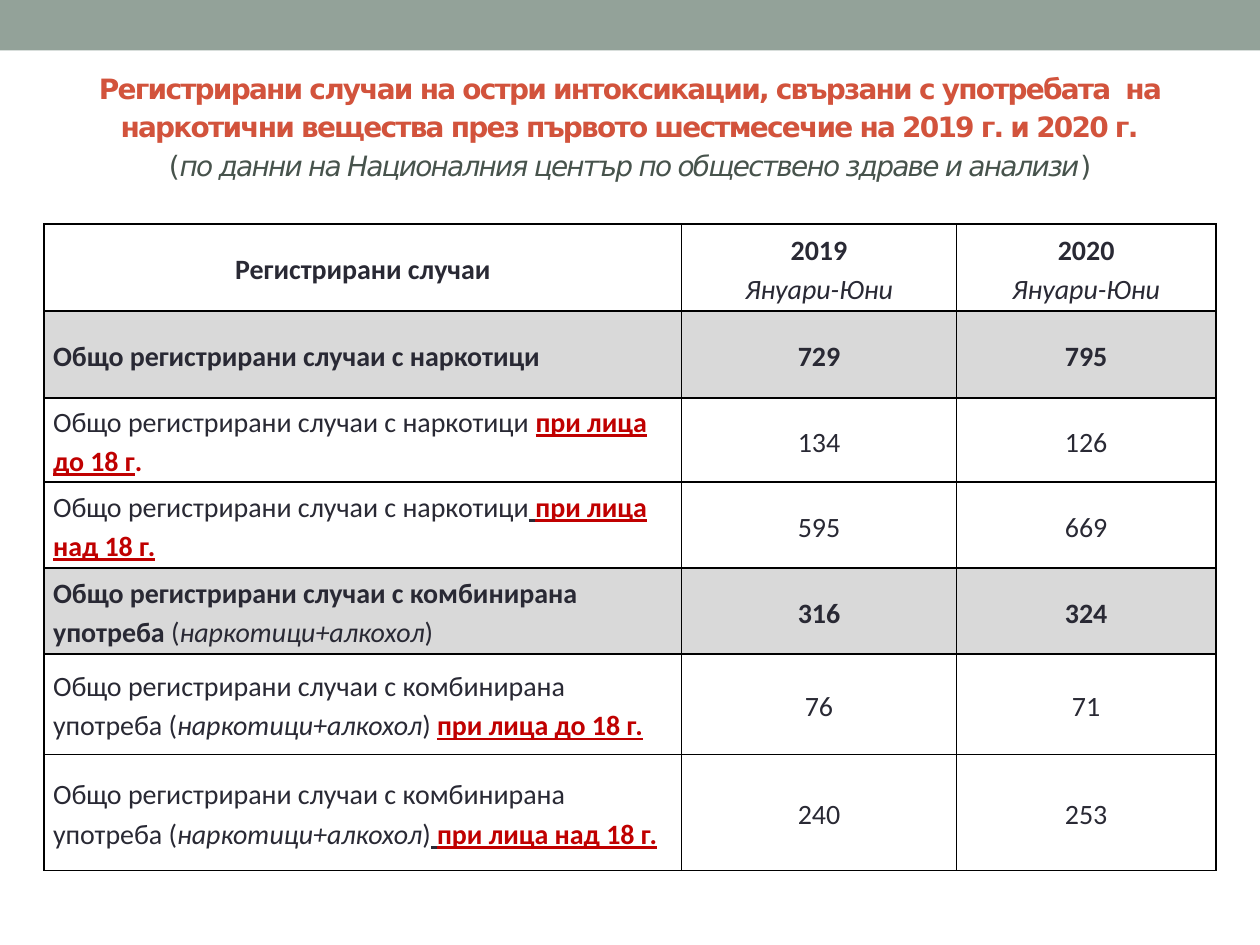
"""Build a slide with a table of registered acute drug intoxications."""
import copy
from dataclasses import dataclass

import lxml.etree
import pptx
import pptx.dml.color
import pptx.enum.shapes
import pptx.enum.text
import pptx.oxml.ns
import pptx.util
from pptx.util import Cm

COLORS = {"bar": "93A299", "title": "D2533C", "subtitle": "47534C", "text": "292934",
          "accent": "C00000", "total": "D9D9D9", "border": "000000"}
ALIGN = pptx.enum.text.PP_ALIGN
MIDDLE = pptx.enum.text.MSO_ANCHOR.MIDDLE
COL_WIDTHS = (12.85, 5.54, 5.23)
CELL_FORMAT = {"margin_left": Cm(0.18), "margin_right": Cm(0.18), "margin_top": 0,
               "margin_bottom": 0, "vertical_anchor": MIDDLE}


@dataclass
class Run:
    text: str
    bold: bool = False
    italic: bool = False
    underline: bool = False
    color: str = "text"


@dataclass
class Row:
    height: float
    label: list[Run]
    values: tuple[str, str]
    total: bool = False
    top: float = 1
    bottom: float = 1


def accent(text: str, underline: bool = True) -> Run:
    return Run(text, bold=True, underline=underline, color="accent")


SPACE = Run(" ", underline=True)
DRUGS = "Общо регистрирани случаи с наркотици"
COMBINED = "Общо регистрирани случаи с комбинирана употреба"
MIX = Run("наркотици+алкохол", italic=True)
YEARS = ("2019", "2020")
ROWS = [
    Row(1.75, [Run(DRUGS, bold=True)], ("729", "795"), total=True),
    Row(1.7, [Run(DRUGS + " "), accent("при лица до 18 г"), accent(".", False)],
        ("134", "126")),
    Row(1.73, [Run(DRUGS), SPACE, accent("при лица над 18 г.")], ("595", "669"), bottom=1.5),
    Row(1.73, [Run(COMBINED, bold=True), Run(" ("), MIX, Run(")")], ("316", "324"),
        total=True, top=1.5),
    Row(2.03, [Run(COMBINED + " ("), MIX, Run(") "), accent("при лица до 18 г.")],
        ("76", "71")),
    Row(2.34, [Run(COMBINED + " ("), MIX, Run(")"), SPACE, accent("при лица над 18 г.")],
        ("240", "253")),
]
HEADER = Row(1.75, [], YEARS)


def rgb(name: str) -> pptx.dml.color.RGBColor:
    return pptx.dml.color.RGBColor.from_string(COLORS[name])


def apply(target, values: dict) -> None:
    for name, value in values.items():
        setattr(target, name, value)


def add_run(p, run: Run, font: str = "Calibri"):
    r = p.add_run()
    r.text = run.text
    apply(r.font, {"name": font, "size": pptx.util.Pt(16), "bold": run.bold,
                   "italic": run.italic, "underline": run.underline})
    r.font.color.rgb = rgb(run.color)
    return r


def add_break(p, r) -> None:
    p.add_line_break()
    p._p[-1].append(copy.deepcopy(r.font._element))


def add_border(cell, side: str, width: float) -> None:
    qn = pptx.oxml.ns.qn
    ln = lxml.etree.SubElement(cell._tc.get_or_add_tcPr(), qn(f"a:ln{side}"),
                               w=str(pptx.util.Pt(width)))
    fill = lxml.etree.SubElement(ln, qn("a:solidFill"))
    lxml.etree.SubElement(fill, qn("a:srgbClr"), val=COLORS["border"])


def fill_cell(cell, paragraphs: list[list[Run]], row: Row, align) -> None:
    apply(cell, CELL_FORMAT)
    for side, width in zip("LRTB", (1, 1, row.top, row.bottom)):
        add_border(cell, side, width)
    if row.total:
        cell.fill.solid()
        cell.fill.fore_color.rgb = rgb("total")
    else:
        cell.fill.background()
    tf = cell.text_frame
    for i, runs in enumerate(paragraphs):
        p = tf.add_paragraph() if i else tf.paragraphs[0]
        apply(p, {"alignment": align, "line_spacing": 1.15})
        for run in runs:
            add_run(p, run)


def add_bar(s) -> None:
    sp = s.shapes.add_shape(pptx.enum.shapes.MSO_SHAPE.RECTANGLE, 0, 0, Cm(25.4), Cm(1.02))
    sp.shadow.inherit = False
    sp.fill.solid()
    sp.fill.fore_color.rgb = rgb("bar")
    sp.line.fill.background()


def add_title(s) -> None:
    sp = s.shapes.title
    apply(sp, {"left": Cm(1.27), "top": Cm(1.47), "width": Cm(22.86), "height": Cm(2.74)})
    tf = sp.text_frame
    apply(tf, {"word_wrap": True, "vertical_anchor": MIDDLE,
               "auto_size": pptx.enum.text.MSO_AUTO_SIZE.NONE})
    p = tf.paragraphs[0]
    apply(p, {"alignment": ALIGN.CENTER, "line_spacing": 1.15,
              "space_after": pptx.util.Pt(10)})
    heading = Run("Регистрирани случаи на остри интоксикации, свързани с употребата  на "
                  "наркотични вещества през първото шестмесечие на 2019 г. и 2020 г.",
                  bold=True, color="title")
    source = [Run("(", color="subtitle"),
              Run("по данни на Националния център по обществено здраве и анализи",
                  italic=True, color="subtitle"),
              Run(")", color="subtitle")]
    for line in ([heading], source):
        for run in line:
            r = add_run(p, run, "DejaVu Sans")
            r.font._element.set("spc", "-100")
        add_break(p, r)


def add_table(s) -> None:
    rows = [HEADER, *ROWS]
    height = sum(row.height for row in rows)
    table = s.shapes.add_table(len(rows), len(COL_WIDTHS), Cm(0.89), Cm(4.52),
                               Cm(sum(COL_WIDTHS)), Cm(height)).table
    apply(table, {"first_row": False, "horz_banding": False})
    for column, width in zip(table.columns, COL_WIDTHS):
        column.width = Cm(width)
    for i, row in enumerate(rows):
        table.rows[i].height = Cm(row.height)
        label, *values = table.rows[i].cells
        if row is HEADER:
            fill_cell(label, [[Run("Регистрирани случаи", bold=True)]], row, ALIGN.CENTER)
        else:
            fill_cell(label, [row.label], row, ALIGN.LEFT)
        for cell, value in zip(values, row.values):
            paragraphs = [[Run(value, bold=row.total or row is HEADER)]]
            if row is HEADER:
                paragraphs.append([Run("Януари-Юни", italic=True)])
            fill_cell(cell, paragraphs, row, ALIGN.CENTER)


def main() -> None:
    prs = pptx.Presentation()
    apply(prs, {"slide_width": Cm(25.4), "slide_height": Cm(19.05)})
    s = prs.slides.add_slide(prs.slide_layouts[5])
    add_bar(s)
    add_title(s)
    add_table(s)
    prs.save("out.pptx")


if __name__ == "__main__":
    main()
